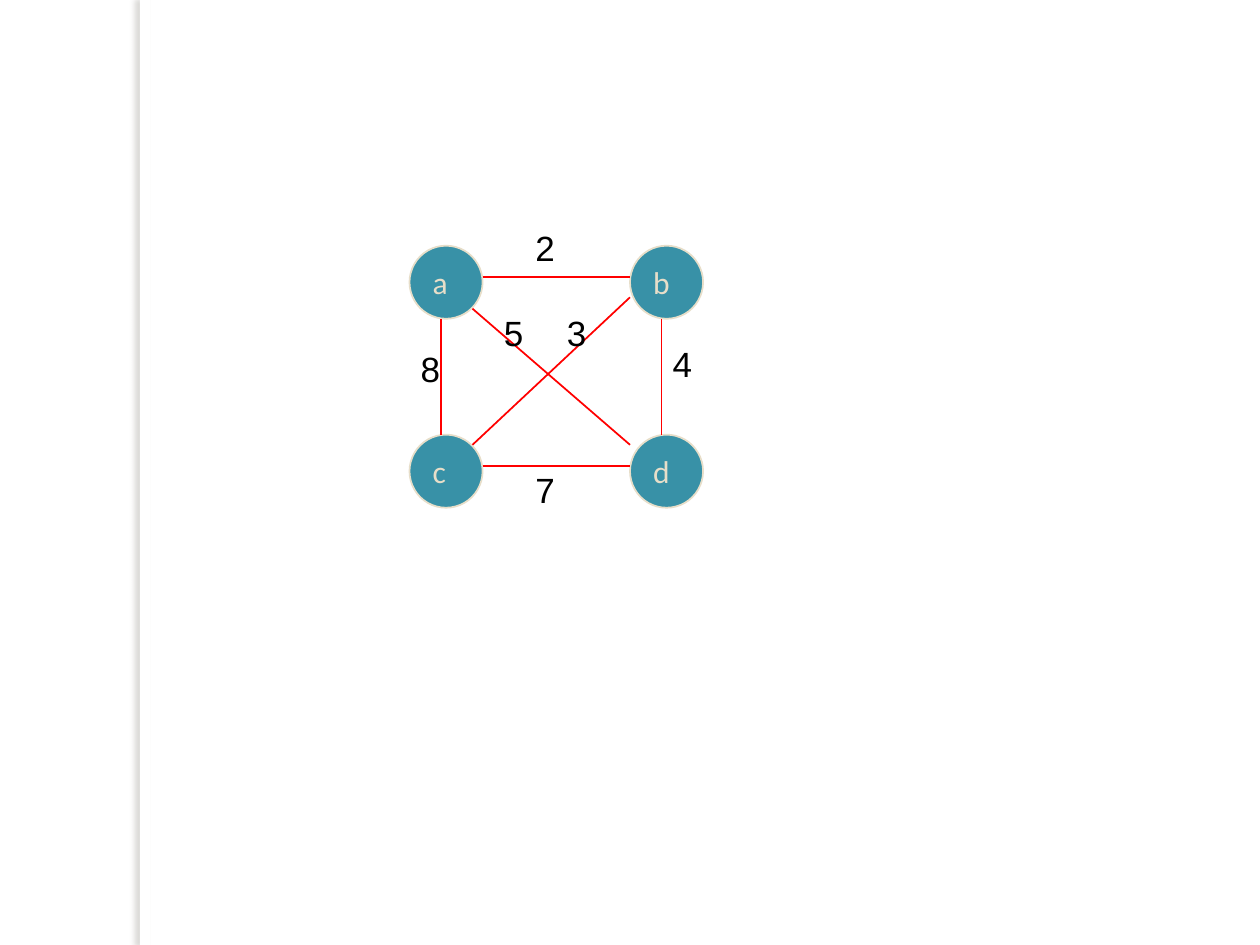
from lxml import etree
from pptx import Presentation
from pptx.dml.color import RGBColor
from pptx.enum import shapes, text
from pptx.oxml import ns
from pptx.util import Pt

COLORS = {"white": "FFFFFF", "node": "3891A7", "cream": "E7DEC9",
          "edge": "FF0000", "label": "000000", "shadow": "736F63"}
COLUMNS = (234, 360)
ROWS = (140.4, 248.4)
NODE_SIZE = 41.76
EDGE_OFFSET = 18  # from a node's top or left side to its straight edges


def rgb(name):
    return RGBColor.from_string(COLORS[name])


def add_effects(shape):
    properties = shape._element.spPr
    return etree.SubElement(properties, ns.qn("a:effectLst"))


def add_run(shape, words, font, size, color):
    frame = shape.text_frame
    frame.word_wrap = False
    para = frame.paragraphs[0]
    para.alignment = text.PP_ALIGN.LEFT
    span = para.add_run()
    span.text = words
    span.font.name = font
    span.font.size = Pt(size)
    span.font.color.rgb = rgb(color)
    return frame


def add_strip(page):
    strip = page.shapes.add_shape(shapes.MSO_SHAPE.RECTANGLE,
                                  Pt(80), Pt(0), Pt(5.76), Pt(540))
    strip.fill.solid()
    strip.fill.fore_color.rgb = rgb("white")
    strip.line.fill.background()
    shadow = etree.SubElement(add_effects(strip), ns.qn("a:outerShdw"),
                              blurRad=str(Pt(3)), dist=str(Pt(3)),
                              dir="10800000", algn="tl", rotWithShape="0")
    color = etree.SubElement(shadow, ns.qn("a:srgbClr"), val=COLORS["shadow"])
    etree.SubElement(color, ns.qn("a:alpha"), val="25000")


def add_node(page, name, left, top):
    node = page.shapes.add_shape(shapes.MSO_SHAPE.OVAL, Pt(left), Pt(top),
                                 Pt(NODE_SIZE), Pt(NODE_SIZE))
    node.shadow.inherit = False
    node.fill.solid()
    node.fill.fore_color.rgb = rgb("node")
    node.line.color.rgb = rgb("cream")
    node.line.width = Pt(1)
    frame = add_run(node, name, "Calibri", 18, "cream")
    frame.vertical_anchor = text.MSO_ANCHOR.MIDDLE


def add_edge(page, x1, y1, x2, y2):
    edge = page.shapes.add_connector(shapes.MSO_CONNECTOR.STRAIGHT,
                                     Pt(x1), Pt(y1), Pt(x2), Pt(y2))
    edge.line.color.rgb = rgb("edge")
    edge.line.width = Pt(1)
    add_effects(edge)


def add_weight(page, weight, left, top):
    box = page.shapes.add_textbox(Pt(left), Pt(top), Pt(26), Pt(31))
    frame = add_run(box, weight, "Arial", 20, "label")
    frame.auto_size = text.MSO_AUTO_SIZE.SHAPE_TO_FIT_TEXT


def main():
    deck = Presentation()
    deck.slide_width, deck.slide_height = Pt(720), Pt(540)
    page = deck.slides.add_slide(deck.slide_layouts[6])
    add_strip(page)

    # Nodes on a two by two grid
    places = [(left, top) for top in ROWS for left in COLUMNS]
    for name, (left, top) in zip("abcd", places):
        add_node(page, name, left, top)

    # Sides of the square
    for top in ROWS:
        y = top + EDGE_OFFSET
        add_edge(page, COLUMNS[0] + NODE_SIZE, y, COLUMNS[1], y)
    for left in COLUMNS:
        x = left + EDGE_OFFSET
        add_edge(page, x, ROWS[0] + NODE_SIZE, x, ROWS[1])

    # Diagonals
    add_edge(page, 270, 176.4, 360, 254.2)
    add_edge(page, 360, 169.9, 270, 254.2)

    # Edge weights
    weights = [("8", 233.3, 195.1), ("2", 298.8, 126), ("7", 298.8, 264.2),
               ("5", 280.8, 174.2), ("3", 316.8, 174.2), ("4", 377.3, 192.2)]
    for weight, left, top in weights:
        add_weight(page, weight, left, top)

    deck.save("out.pptx")


if __name__ == "__main__":
    main()
